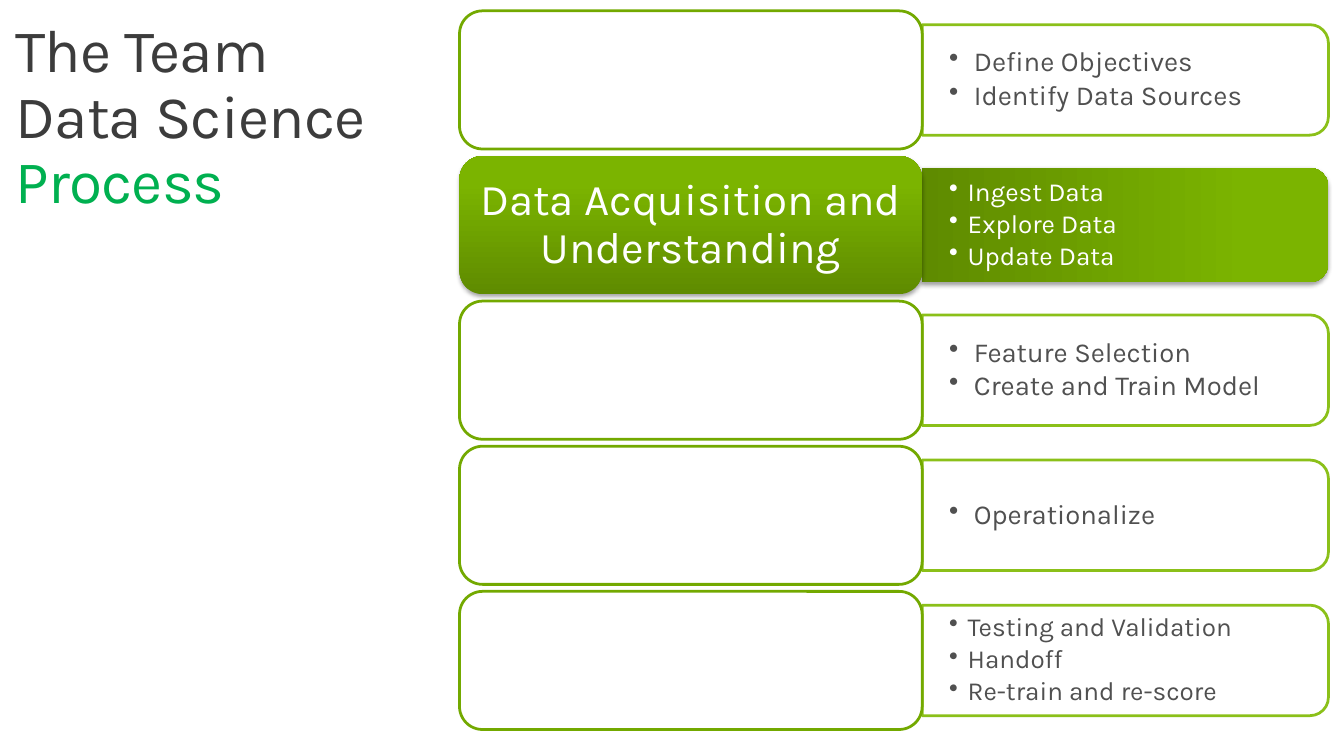
from lxml.etree import SubElement
from pptx import Presentation
from pptx.dml.color import RGBColor
from pptx.enum.shapes import MSO_SHAPE
from pptx.enum.text import MSO_ANCHOR, MSO_AUTO_SIZE, PP_ALIGN
from pptx.oxml.ns import qn
from pptx.util import Cm, Pt

WHITE = RGBColor(0xFF, 0xFF, 0xFF)
CHARCOAL = RGBColor(0x3C, 0x3C, 0x3C)
GREY = RGBColor(0x50, 0x50, 0x50)
BRIGHT_GREEN = RGBColor(0x00, 0xB0, 0x50)
STAGE_LINE = RGBColor(0x73, 0xA9, 0x00)
TASK_LINE = RGBColor(0x7F, 0xBA, 0x00)
BLACK = RGBColor(0x00, 0x00, 0x00)
GRADIENT = [
    (0, RGBColor(0x5F, 0x8B, 0x00)),
    (80, RGBColor(0x7B, 0xB4, 0x00)),
    (100, RGBColor(0x7C, 0xB5, 0x00)),
]

FONT = "Karla"
ROW_TOP, ROW_PITCH = 0.28, 3.73
STAGE_LEFT, STAGE_WIDTH, STAGE_HEIGHT = 11.81, 11.89, 3.55
TASK_LEFT, TASK_WIDTH = STAGE_LEFT + STAGE_WIDTH, 10.44
TASK_HEIGHT, ACTIVE_TASK_HEIGHT = 2.84, 2.95
TEXT_WIDTH, TEXT_HEIGHT = 10.29, 2.57

STAGES = [
    ("", ["Define Objectives", "Identify Data Sources"]),
    ("Data Acquisition and Understanding",
     ["Ingest Data", "Explore Data", "Update Data"]),
    ("", ["Feature Selection", "Create and Train Model"]),
    ("", ["Operationalize"]),
    ("", ["Testing and Validation", "Handoff", "Re-train and re-score"]),
]


def set_values(target, values):
    for name, value in values.items():
        setattr(target, name, value)


def set_frame(frame, side, end, anchor):
    set_values(frame, {
        "word_wrap": True, "auto_size": MSO_AUTO_SIZE.NONE,
        "vertical_anchor": anchor,
        "margin_left": Cm(side), "margin_right": Cm(side),
        "margin_top": Cm(end), "margin_bottom": Cm(end),
    })


def add_span(para, text, size, color):
    span = para.add_run()
    span.text = text
    set_values(span.font, {"name": FONT, "size": Pt(size)})
    span.font.color.rgb = color
    return span


def add_color(parent, color, alpha=100):
    element = SubElement(parent, qn("a:srgbClr"), val=str(color))
    if alpha < 100:
        SubElement(element, qn("a:alpha"), val=str(alpha * 1000))


def paint_active(shape):
    shape.fill.background()
    shape.line.fill.background()
    properties = shape.element.spPr
    gradient = SubElement(properties, qn("a:gradFill"), rotWithShape="1")
    stops = SubElement(gradient, qn("a:gsLst"))
    for position, color in GRADIENT:
        add_color(SubElement(stops, qn("a:gs"), pos=str(position * 1000)), color)
    SubElement(gradient, qn("a:lin"), ang="16200000", scaled="0")
    properties.replace(properties.find(qn("a:noFill")), gradient)
    shadow = SubElement(
        properties.find(qn("a:effectLst")), qn("a:outerShdw"),
        blurRad=str(Pt(3.1)), dist=str(Pt(1.8)), dir="5400000", rotWithShape="0")
    add_color(shadow, BLACK, 35)


def paint_plain(shape, line_color, line_alpha=100):
    shape.fill.solid()
    shape.fill.fore_color.rgb = WHITE
    shape.line.width = Pt(2)
    shape.line.color.rgb = line_color
    if line_alpha < 100:
        color = shape.element.spPr.find(".//" + qn("a:ln")).find(".//" + qn("a:srgbClr"))
        SubElement(color, qn("a:alpha"), val=str(line_alpha * 1000))


def add_title(page):
    title = page.shapes.title
    set_values(title, {"left": Cm(0), "top": Cm(0.28),
                       "width": Cm(9.8), "height": Cm(5.74)})
    set_frame(title.text_frame, 0.4, 0.25, MSO_ANCHOR.TOP)
    para = title.text_frame.paragraphs[0]
    set_values(para, {"alignment": PP_ALIGN.LEFT, "line_spacing": 0.9})
    for text, color in [("The Team Data Science ", CHARCOAL), ("Process", BRIGHT_GREEN)]:
        span = add_span(para, text, 44, color)
        span.font._element.set("spc", "-60")


def add_task_panel(page, middle, active):
    height = ACTIVE_TASK_HEIGHT if active else TASK_HEIGHT
    panel = page.shapes.add_shape(
        MSO_SHAPE.ROUND_2_SAME_RECTANGLE,
        Cm(TASK_LEFT + (TASK_WIDTH - height) / 2), Cm(middle - TASK_WIDTH / 2),
        Cm(height), Cm(TASK_WIDTH))
    panel.rotation = 90
    panel.shadow.inherit = False
    if active:
        paint_active(panel)
    else:
        paint_plain(panel, TASK_LINE, 90)


def add_task_list(page, middle, tasks, color):
    size, indent = (19, 0.48) if len(tasks) > 2 else (20, 0.64)
    box = page.shapes.add_textbox(
        Cm(TASK_LEFT), Cm(middle - TEXT_HEIGHT / 2), Cm(TEXT_WIDTH), Cm(TEXT_HEIGHT))
    frame = box.text_frame
    set_frame(frame, 0.69, 0.36, MSO_ANCHOR.MIDDLE)
    for index, task in enumerate(tasks):
        para = frame.add_paragraph() if index else frame.paragraphs[0]
        set_values(para, {"level": 1, "line_spacing": 0.9, "space_after": Pt(size * 0.15)})
        properties = para._p.get_or_add_pPr()
        properties.set("marL", str(Cm(indent)))
        properties.set("indent", str(-Cm(indent)))
        SubElement(properties, qn("a:buChar"), char="•")
        add_span(para, task, size, color)


def add_stage(page, top, name):
    stage = page.shapes.add_shape(
        MSO_SHAPE.ROUNDED_RECTANGLE,
        Cm(STAGE_LEFT), Cm(top), Cm(STAGE_WIDTH), Cm(STAGE_HEIGHT))
    stage.shadow.inherit = False
    if not name:
        paint_plain(stage, STAGE_LINE)
        return
    paint_active(stage)
    set_frame(stage.text_frame, 0.3, 0.3, MSO_ANCHOR.MIDDLE)
    para = stage.text_frame.paragraphs[0]
    set_values(para, {"alignment": PP_ALIGN.CENTER, "line_spacing": 0.9})
    add_span(para, name, 32, WHITE)


def main():
    deck = Presentation()
    set_values(deck, {"slide_width": Cm(34.54), "slide_height": Cm(19.43)})
    page = deck.slides.add_slide(deck.slide_layouts[5])
    add_title(page)
    for row, (name, tasks) in enumerate(STAGES):
        top = ROW_TOP + row * ROW_PITCH
        middle = top + STAGE_HEIGHT / 2
        add_task_panel(page, middle, bool(name))
        add_task_list(page, middle, tasks, WHITE if name else GREY)
        add_stage(page, top, name)
    deck.save("out.pptx")


if __name__ == "__main__":
    main()
